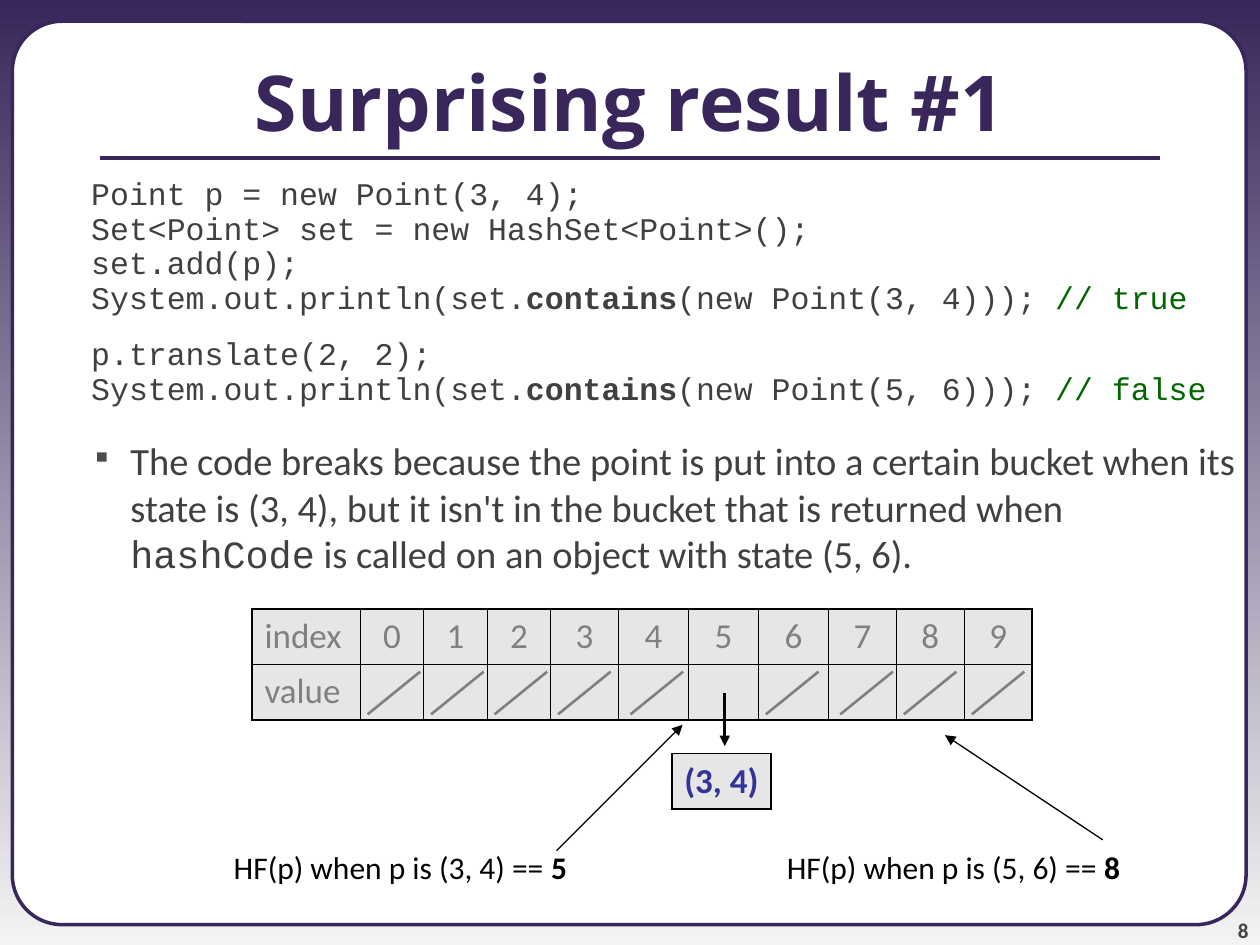
from dataclasses import dataclass
from itertools import accumulate

from lxml.etree import SubElement
from pptx import Presentation
from pptx.dml.color import RGBColor
from pptx.enum.shapes import MSO_CONNECTOR, MSO_SHAPE
from pptx.enum.text import MSO_ANCHOR, PP_ALIGN
from pptx.oxml.ns import qn
from pptx.util import Cm, Pt

HUES = {
    "purple": "39275B", "pale": "F3F3F3", "white": "FFFFFF", "black": "000000",
    "text": "404040", "number": "424242", "bullet": "4D4D4D", "note": "006600",
    "grey": "808080", "cell": "E6E6E6", "blue": "333399",
}
THIN, THICK = 0.45, 1.08
CODE = {"name": "Courier New", "size": Pt(18), "hue": "text"}
BODY = {"name": "Calibri", "size": Pt(22), "hue": "text"}
GRID = {"name": "Calibri", "size": Pt(20), "hue": "grey"}
LABEL = {"name": "Calibri", "size": Pt(18), "hue": "black"}
BOLD = {"bold": True}


@dataclass
class Line:
    """A straight line between two points in centimetres."""
    start: tuple[float, float]
    end: tuple[float, float]
    hue: str
    width: float
    arrow: bool = False


@dataclass
class Label:
    left: float
    state: str
    slot: str


@dataclass
class Row:
    """A line of code: its runs and the points of space before it."""
    runs: list
    gap: float = 4.6


def rgb(hue: str) -> RGBColor:
    return RGBColor.from_string(HUES[hue])


def style(font, form: dict) -> None:
    for key, val in form.items():
        if key == "hue":
            font.color.rgb = rgb(val)
        else:
            setattr(font, key, val)


def write(para, runs: list, base: dict) -> None:
    """Add (text, changes) runs to a paragraph in the base format."""
    for text, change in runs:
        run = para.add_run()
        run.text = text
        style(run.font, {**base, **change})


def add_box(slide, left: float, top: float, width: float, height: float):
    box = slide.shapes.add_textbox(Cm(left), Cm(top), Cm(width), Cm(height))
    box.text_frame.word_wrap = True
    return box.text_frame


def draw_line(slide, item: Line) -> None:
    ends = [Cm(val) for val in (*item.start, *item.end)]
    link = slide.shapes.add_connector(MSO_CONNECTOR.STRAIGHT, *ends)
    link.line.color.rgb = rgb(item.hue)
    link.line.width = Pt(item.width)
    if item.arrow:
        SubElement(link.line._get_or_add_ln(), qn("a:tailEnd"), type="triangle")
    SubElement(link.element.spPr, qn("a:effectLst"))


def edge(cell, sides: dict[str, float]) -> None:
    """Give the cell black borders, side letter to width in points."""
    props = cell._tc.get_or_add_tcPr()
    for side, width in sides.items():
        line = SubElement(props, qn(f"a:ln{side}"), w=str(Pt(width)))
        fill = SubElement(line, qn("a:solidFill"))
        SubElement(fill, qn("a:srgbClr"), val=HUES["black"])


def draw_table(slide, left: float, top: float, cols: list[float],
               rows: list[list[str]], form: dict) -> None:
    """Draw a grey grid with a thick outer border."""
    high = 1.12
    frame = slide.shapes.add_table(len(rows), len(cols), Cm(left), Cm(top),
                                   Cm(sum(cols)), Cm(high * len(rows)))
    table = frame.table
    table.first_row = table.horz_banding = False
    for col, width in zip(table.columns, cols):
        col.width = Cm(width)
    for r, row in enumerate(rows):
        table.rows[r].height = Cm(high)
        for c, text in enumerate(row):
            cell = table.cell(r, c)
            outer = {"L": c == 0, "R": c == len(cols) - 1,
                     "T": r == 0, "B": r == len(rows) - 1}
            edge(cell, {side: THICK if out else THIN for side, out in outer.items()})
            cell.fill.solid()
            cell.fill.fore_color.rgb = rgb("cell")
            cell.vertical_anchor = MSO_ANCHOR.MIDDLE
            if text:
                para = cell.text_frame.paragraphs[0]
                word = text in ("index", "value")
                para.alignment = PP_ALIGN.LEFT if word else PP_ALIGN.CENTER
                write(para, [(text, {})], form)


def draw_frame(slide) -> None:
    fill = slide.background.fill
    fill.gradient()
    fill.gradient_angle = 270
    for stop, hue in zip(fill.gradient_stops, ("purple", "pale")):
        stop.color.rgb = rgb(hue)
    panel = slide.shapes.add_shape(MSO_SHAPE.ROUNDED_RECTANGLE,
                                   Cm(0.25), Cm(0.43), Cm(24.87), Cm(18.21))
    panel.adjustments[0] = 0.055
    panel.shadow.inherit = False
    panel.fill.solid()
    panel.fill.fore_color.rgb = rgb("white")
    panel.line.color.rgb = rgb("purple")
    panel.line.width = Pt(2)
    draw_line(slide, Line((2.01, 3.18), (23.39, 3.18), "purple", 2.25))
    text = add_box(slide, 23.06, 17.98, 2.11, 1.02)
    for side in ("left", "top", "right", "bottom"):
        setattr(text, f"margin_{side}", 0)
    text.vertical_anchor = MSO_ANCHOR.BOTTOM
    para = text.paragraphs[0]
    para.alignment = PP_ALIGN.RIGHT
    write(para, [("8", {})], {**LABEL, **BOLD, "size": Pt(12), "hue": "number"})


def draw_title(slide) -> None:
    title = slide.shapes.title
    spot = {"left": 0, "top": 0.43, "width": 25.4, "height": 3.18}
    for key, val in spot.items():
        setattr(title, key, Cm(val))
    title.text_frame.vertical_anchor = MSO_ANCHOR.MIDDLE
    para = title.text_frame.paragraphs[0]
    para.alignment = PP_ALIGN.CENTER
    write(para, [("Surprising result #1", BOLD)],
          {"name": "Open Sans", "size": Pt(44), "hue": "purple"})
    slide.shapes.element.append(title.element)  # in front of the panel


def check(point: str, answer: str) -> list:
    return [("System.out.println(set.", {}), ("contains", BOLD),
            (f"(new Point({point}))); ", {}), (f"// {answer}", {"hue": "note"})]


def draw_body(slide) -> None:
    rows = [
        Row([("Point p = new Point(3, 4);", {})], 0),
        Row([("Set<Point> set = new HashSet<Point>();", {})]),
        Row([("set.add(p);", {})]),
        Row(check("3, 4", "true")),
        Row([("p.translate(2, 2);", {})], 17.2),
        Row(check("5, 6", "false")),
    ]
    text = add_box(slide, 0, 3.6, 25.4, 8.3)
    for i, row in enumerate(rows):
        para = text.paragraphs[0] if i == 0 else text.add_paragraph()
        indent(para)
        para.line_spacing = 0.7
        para.space_before = Pt(row.gap)
        write(para, row.runs, CODE)
    para = text.add_paragraph()
    props = indent(para)
    tint = SubElement(props, qn("a:buClr"))
    SubElement(tint, qn("a:srgbClr"), val=HUES["bullet"])
    SubElement(props, qn("a:buSzPct"), val="75000")
    SubElement(props, qn("a:buChar"), char="▪")
    para.space_before = Pt(18.1)
    write(para, [
        ("The code breaks because the point is put into a certain bucket when its "
         "state is (3, 4), but it isn't in the bucket that is returned when ", {}),
        ("hashCode", {"name": "Courier New"}),
        (" is called on an object with state (5, 6).", {})], BODY)


def indent(para):
    """Set the hanging indent and return the paragraph properties."""
    props = para._p.get_or_add_pPr()
    props.set("marL", str(Cm(2.38)))
    props.set("indent", str(-Cm(0.79)))
    return props


def draw_hash(slide) -> None:
    left, full = 5.08, 5
    cols = [2.18] + [1.28] * 3 + [1.37] + [1.41] * 3 + [1.37] * 3
    rows = [["index", *map(str, range(10))], ["value"] + [""] * 10]
    draw_table(slide, left, 12.27, cols, rows, GRID)
    draw_table(slide, 13.54, 15.19, [2.01], [["(3, 4)"]],
               {**GRID, **BOLD, "hue": "blue"})
    draw_line(slide, Line((14.61, 13.97), (14.61, 15.04), "black", 1.5, True))
    for slot, side in enumerate(accumulate(cols[:-1], initial=left)):
        if slot > 0 and slot - 1 != full:
            x = side + (0.24 if slot in (5, 8) else 0.15)
            draw_line(slide, Line((x + 1.06, 13.54), (x, 14.4), "grey", 1.5))


def draw_labels(slide) -> None:
    for item in (Label(4.08, "3, 4", "5"), Label(15.23, "5, 6", "8")):
        text = add_box(slide, item.left, 16.97, 7.6, 1.02)
        para = text.paragraphs[0]
        para.alignment = PP_ALIGN.RIGHT
        write(para, [(f"HF(p) when p is ({item.state}) == ", {}), (item.slot, BOLD)],
              LABEL)
    draw_line(slide, Line((11.22, 17.15), (13.76, 14.61), "black", 0.75, True))
    draw_line(slide, Line((22.23, 16.93), (19.05, 14.82), "black", 0.75, True))


def main() -> None:
    deck = Presentation()
    deck.slide_width, deck.slide_height = Cm(25.4), Cm(19.05)
    slide = deck.slides.add_slide(deck.slide_layouts[5])
    for draw in (draw_frame, draw_title, draw_body, draw_hash, draw_labels):
        draw(slide)
    deck.save("out.pptx")


if __name__ == "__main__":
    main()
